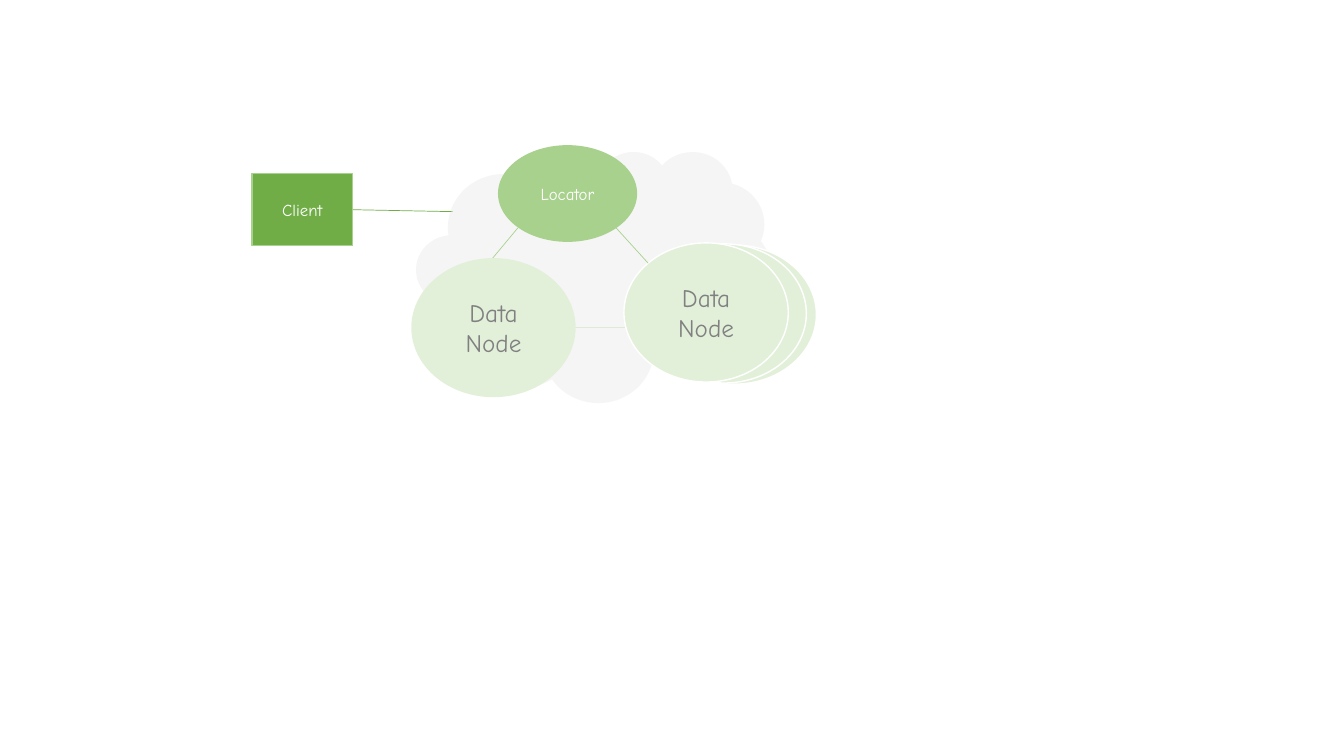
from lxml import etree
from pptx import Presentation
from pptx.dml.color import RGBColor
from pptx.enum import shapes, text
from pptx.oxml.ns import qn
from pptx.util import Pt

SHAPE = shapes.MSO_SHAPE
GREEN, LIGHT, PALE, WHITE = "70AD47", "A9D18E", "E2F0D9", "FFFFFF"

prs = Presentation()
prs.slide_width, prs.slide_height = Pt(960), Pt(540)
s = prs.slides.add_slide(prs.slide_layouts[6])


def add_node(kind, box, fill, line=None, label="", size=12, color=WHITE):
    sp = s.shapes.add_shape(kind, *map(Pt, box))
    sp.shadow.inherit = False
    sp.fill.solid()
    sp.fill.fore_color.rgb = RGBColor.from_string(fill)
    if line:
        sp.line.color.rgb = RGBColor.from_string(line)
        sp.line.width = Pt(1)
    else:
        sp.line.fill.background()
    if label:
        tf = sp.text_frame
        tf.text = label
        tf.vertical_anchor = text.MSO_ANCHOR.MIDDLE
        for p in tf.paragraphs:
            p.alignment = text.PP_ALIGN.CENTER
            p.font.name, p.font.size = "Comic Neue", Pt(size)
            p.font.color.rgb = RGBColor.from_string(color)
            for r in p.runs:
                r.font.name, r.font.size = "Comic Neue", Pt(size)
                r.font.color.rgb = RGBColor.from_string(color)
    return sp


def add_link(x1, y1, x2, y2, color=LIGHT):
    c = s.shapes.add_connector(shapes.MSO_CONNECTOR.STRAIGHT, Pt(x1), Pt(y1), Pt(x2), Pt(y2))
    c.line.color.rgb = RGBColor.from_string(color)
    c.line.width = Pt(0.5)
    etree.SubElement(c._element.spPr, qn("a:effectLst"))


add_link(451.5, 234, 411, 234)
cloud = add_node(SHAPE.CLOUD, (297.4, 108, 254.2, 179.3), "F2F2F2")
color = cloud._element.spPr.find(qn("a:solidFill"))[0]
etree.SubElement(color, qn("a:alpha"), val="74000")

for x, y in ((465.8, 175), (458.6, 174.2)):
    add_node(SHAPE.OVAL, (x, y, 117.4, 99.4), PALE, WHITE)
add_node(SHAPE.OVAL, (355.7, 103.7, 99.4, 69.1), LIGHT, label="Locator")
for x, y, line in ((293.8, 184.3, None), (445.7, 173.5, WHITE)):
    add_node(SHAPE.OVAL, (x, y, 117.4, 99.4), PALE, line, "Data\nNode", 18, "808080")

add_link(370, 162.7, 352, 184.3)
add_link(463, 188, 440, 162.7)
add_node(SHAPE.RECTANGLE, (180, 123.8, 72, 51.8), GREEN, LIGHT, "Client")
add_link(252, 149.8, 323.3, 151.2, GREEN)

prs.save("out.pptx")
